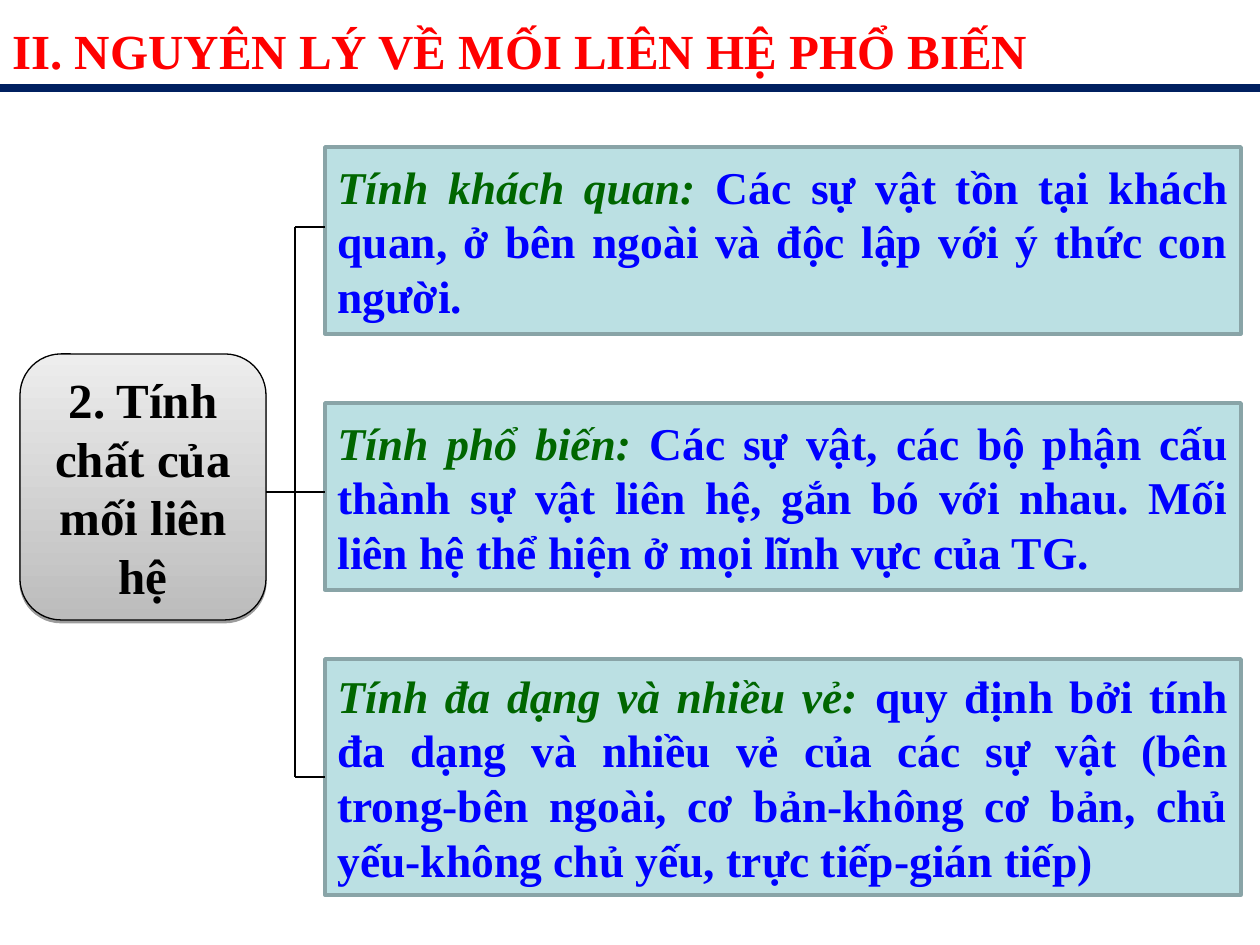
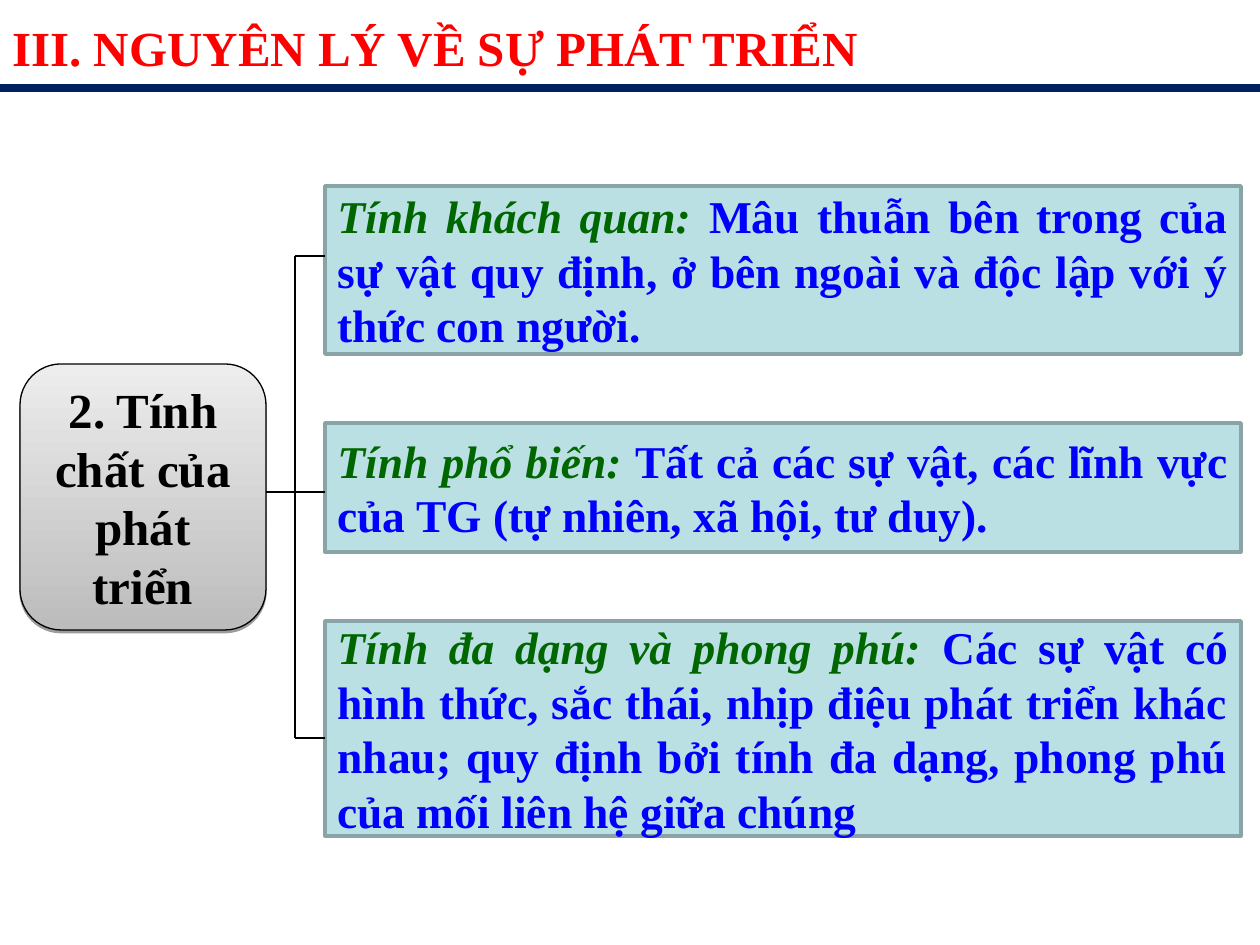
from dataclasses import dataclass

from lxml import etree
from pptx import Presentation
from pptx.dml.color import RGBColor
from pptx.enum.shapes import MSO_CONNECTOR, MSO_SHAPE
from pptx.enum.text import MSO_ANCHOR, PP_ALIGN
from pptx.oxml import parse_xml
from pptx.oxml.ns import nsdecls, qn
from pptx.util import Pt

STRAIGHT = MSO_CONNECTOR.STRAIGHT
RECTANGLE, ROUNDED = MSO_SHAPE.RECTANGLE, MSO_SHAPE.ROUNDED_RECTANGLE
MIDDLE = MSO_ANCHOR.MIDDLE
JUSTIFY, CENTER = PP_ALIGN.JUSTIFY, PP_ALIGN.CENTER
LEFT_SIDE = 1
PX = 914400 / 126


@dataclass(frozen=True)
class Theme:
    font: str = "Times New Roman"
    heading_size: int = 28
    card_size: int = 26
    title: str = "FF0000"
    rule: str = "002060"
    card_fill: str = "BBE0E3"
    card_edge: str = "89A4A7"
    term: str = "006600"
    body: str = "0000FF"
    ink: str = "000000"
    topic_dark: str = "BCBCBC"
    topic_light: str = "EDEDED"


THEME = Theme()
PAGE_WIDTH, PAGE_HEIGHT = 1260, 945
RULE_Y = 88
TOPIC_LEFT, TOPIC_WIDTH, TOPIC_HEIGHT = 20, 246, 266
TRUNK_X = 295
CARD_LEFT, CARD_WIDTH, CARD_GAP = 325, 916, 69

SHADOW = (
    f'<a:effectLst {nsdecls("a")}>'
    '<a:outerShdw dist="20320" dir="5400000" rotWithShape="0">'
    f'<a:srgbClr val="{THEME.ink}"><a:alpha val="38000"/></a:srgbClr>'
    "</a:outerShdw></a:effectLst>"
)

SLIDES = [
    {
        "title": "II. NGUYÊN LÝ VỀ MỐI LIÊN HỆ PHỔ BIẾN",
        "title_top": 3,
        "topic": "2. Tính chất của mối liên hệ",
        "topic_top": 354,
        "first_card_top": 147,
        "topic_line_y": 492,
        # card height, height of its branch line, term, explanation
        "cards": [
            (187, 227, "Tính khách quan: ",
             "Các sự vật tồn tại khách quan, ở bên ngoài và độc lập với ý thức "
             "con người."),
            (187, 492, "Tính phổ biến: ",
             "Các sự vật, các bộ phận cấu thành sự vật liên hệ, gắn bó với nhau. "
             "Mối liên hệ thể hiện ở mọi lĩnh vực của TG."),
            (236, 777, "Tính đa dạng và nhiều vẻ: ",
             "quy định bởi tính đa dạng và nhiều vẻ của các sự vật (bên trong-bên "
             "ngoài, cơ bản-không cơ bản, chủ yếu-không chủ yếu, trực tiếp-gián "
             "tiếp)"),
        ],
    },
    {
        "title": "III. NGUYÊN LÝ VỀ SỰ PHÁT TRIỂN",
        "title_top": 0,
        "topic": "2. Tính chất của phát triển",
        "topic_top": 364,
        "first_card_top": 186,
        "topic_line_y": 492,
        "cards": [
            (168, 256, "Tính khách quan: ",
             "Mâu thuẫn bên trong của sự vật quy định, ở bên ngoài và độc lập với "
             "ý thức con người."),
            (129, 492, "Tính phổ biến: ",
             "Tất cả các sự vật, các lĩnh vực của TG (tự nhiên, xã hội, tư duy)."),
            (215, 738, "Tính đa dạng và phong phú: ",
             "Các sự vật có hình thức, sắc thái, nhịp điệu phát triển khác nhau; "
             "quy định bởi tính đa dạng, phong phú của mối liên hệ giữa chúng"),
        ],
    },
]


def write(shape, spans, size, align):
    """Fill the shape with one bold paragraph made of (text, colour, italic) spans."""
    shape.text_frame.word_wrap = True
    para = shape.text_frame.paragraphs[0]
    para.alignment = align
    for text, colour, italic in spans:
        span = para.add_run()
        span.text = text
        span.font.name = THEME.font
        span.font.size = Pt(size)
        span.font.bold = True
        span.font.italic = italic
        span.font.color.rgb = RGBColor.from_string(colour)
    return para


def draw_line(page, start, end, colour=THEME.ink, width=0.75):
    ends = [round(length * PX) for length in (*start, *end)]
    line = page.shapes.add_connector(STRAIGHT, *ends)
    line.line.color.rgb = RGBColor.from_string(colour)
    line.line.width = Pt(width)
    etree.SubElement(line._element.spPr, qn("a:effectLst"))
    return line


deck = Presentation()
deck.slide_width = round(PAGE_WIDTH * PX)
deck.slide_height = round(PAGE_HEIGHT * PX)

for content in SLIDES:
    page = deck.slides.add_slide(deck.slide_layouts[6])

    draw_line(page, (0, RULE_Y), (PAGE_WIDTH, RULE_Y), THEME.rule, 4.5)
    title = page.shapes.add_textbox(
        0, round(content["title_top"] * PX), round(PAGE_WIDTH * PX), round(83 * PX))
    para = write(title, [(content["title"], THEME.title, False)],
                 THEME.heading_size, JUSTIFY)
    para.line_spacing = 1.2

    topic = page.shapes.add_shape(
        ROUNDED, round(TOPIC_LEFT * PX), round(content["topic_top"] * PX),
        round(TOPIC_WIDTH * PX), round(TOPIC_HEIGHT * PX))
    topic.fill.gradient()
    topic.fill.gradient_angle = 90
    for stop, colour in zip(topic.fill.gradient_stops,
                            (THEME.topic_dark, THEME.topic_light)):
        stop.color.rgb = RGBColor.from_string(colour)
    topic.line.color.rgb = RGBColor.from_string(THEME.ink)
    topic.line.width = Pt(0.75)
    topic._element.spPr.append(parse_xml(SHADOW))
    topic.text_frame.vertical_anchor = MIDDLE
    write(topic, [(content["topic"], THEME.ink, False)], THEME.heading_size, CENTER)

    card_top = content["first_card_top"]
    for height, branch_y, term, explanation in content["cards"]:
        card = page.shapes.add_shape(
            RECTANGLE, round(CARD_LEFT * PX), round(card_top * PX),
            round(CARD_WIDTH * PX), round(height * PX))
        card.shadow.inherit = False
        card.fill.solid()
        card.fill.fore_color.rgb = RGBColor.from_string(THEME.card_fill)
        card.line.color.rgb = RGBColor.from_string(THEME.card_edge)
        card.line.width = Pt(2)
        card.text_frame.vertical_anchor = MIDDLE
        write(card, [(term, THEME.term, True), (explanation, THEME.body, False)],
              THEME.card_size, JUSTIFY)

        branch = draw_line(page, (TRUNK_X, branch_y), (CARD_LEFT, branch_y))
        if branch_y == card_top + height / 2:
            branch.end_connect(card, LEFT_SIDE)
        card_top += height + CARD_GAP

    branch_heights = [branch_y for _, branch_y, _, _ in content["cards"]]
    draw_line(page, (TRUNK_X, branch_heights[0]), (TRUNK_X, branch_heights[-1]))
    draw_line(page, (TOPIC_LEFT + TOPIC_WIDTH, content["topic_line_y"]),
              (TRUNK_X, content["topic_line_y"]))

deck.save("out.pptx")
